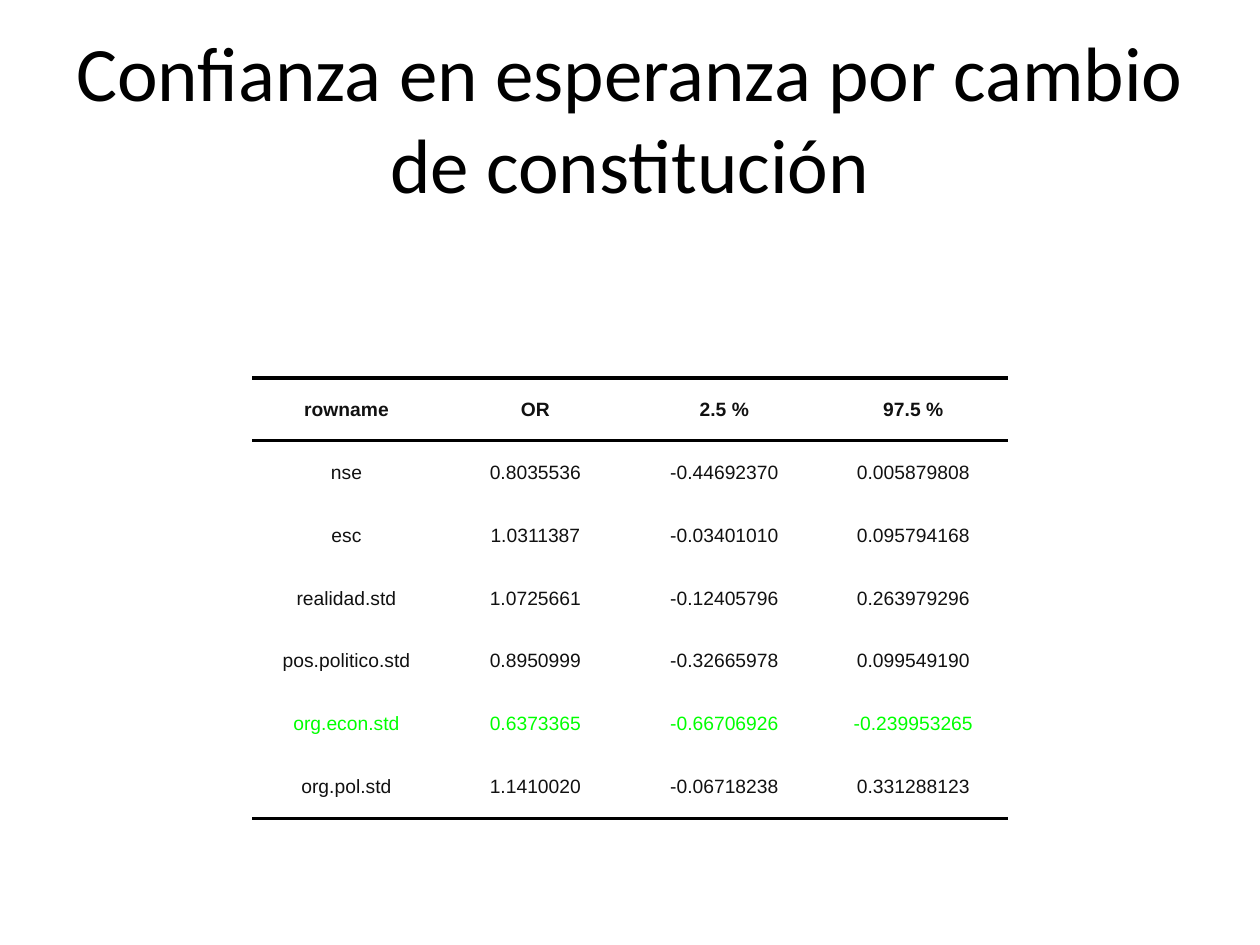
from dataclasses import dataclass

from lxml import etree
from pptx import Presentation
from pptx import util as u
from pptx.dml.color import RGBColor
from pptx.enum import text
from pptx.oxml import ns

EMU_PER_PX = u.Inches(1) // 126
PLAIN_STYLE = "{2D5ABB26-0587-4C30-8999-92F81FD0307C}"


@dataclass(frozen=True)
class Theme:
    heading_font: str = "Calibri"
    body_font: str = "Arial"
    heading_size: int = 44
    body_size: int = 11
    heading: str = "000000"
    body: str = "111111"
    accent: str = "00FF00"
    rule: str = "000000"
    rule_width: int = 2
    paragraph_gap: int = 2
    indent: int = 9


def px(length):
    return u.Emu(length * EMU_PER_PX)


class Deck:
    """Builds a slide from a theme, with one method for each kind of element."""

    def __init__(self, theme, width, height):
        self.theme = theme
        self.presentation = Presentation()
        self.presentation.slide_width = px(width)
        self.presentation.slide_height = px(height)
        self.slide = None

    def add_slide(self):
        self.slide = self.presentation.slides.add_slide(self.presentation.slide_layouts[5])

    def style(self, paragraph, font, size, color, bold=False):
        paragraph.alignment = text.PP_ALIGN.CENTER
        for run in paragraph.runs:
            run.font.name = font
            run.font.size = u.Pt(size)
            run.font.bold = bold
            run.font.color.rgb = RGBColor.from_string(color)

    def title(self, wording, left, top, width, height):
        heading = self.slide.shapes.title
        heading.left, heading.top = px(left), px(top)
        heading.width, heading.height = px(width), px(height)
        frame = heading.text_frame
        frame.text = wording
        frame.vertical_anchor = text.MSO_ANCHOR.MIDDLE
        theme = self.theme
        self.style(frame.paragraphs[0], theme.heading_font, theme.heading_size, theme.heading)

    def rule(self, cell, side):
        properties = cell._tc.get_or_add_tcPr()
        line = etree.SubElement(properties, ns.qn(f"a:ln{side}"), w=str(u.Pt(self.theme.rule_width)))
        fill = etree.SubElement(line, ns.qn("a:solidFill"))
        etree.SubElement(fill, ns.qn("a:srgbClr"), val=self.theme.rule)

    def cell(self, cell, wording, color, bold, ruled_sides):
        theme = self.theme
        cell.text_frame.text = wording
        cell.vertical_anchor = text.MSO_ANCHOR.MIDDLE
        cell.margin_left = cell.margin_right = cell.margin_top = cell.margin_bottom = 0
        for side in ruled_sides:
            self.rule(cell, side)
        cell.fill.background()
        paragraph = cell.text_frame.paragraphs[0]
        paragraph.space_before = paragraph.space_after = u.Pt(theme.paragraph_gap)
        for side in ("marL", "marR"):
            paragraph._p.get_or_add_pPr().set(side, str(px(theme.indent)))
        self.style(paragraph, theme.body_font, theme.body_size, color, bold)

    def table(self, rows, left, top, column_width, row_height, highlighted):
        columns = len(rows[0])
        frame = self.slide.shapes.add_table(
            len(rows), columns, px(left), px(top),
            px(column_width * columns), px(row_height * len(rows)))
        grid = frame.table
        grid.first_row = grid.horz_banding = False
        grid._tbl.tblPr.find(ns.qn("a:tableStyleId")).text = PLAIN_STYLE
        ruled = {0: "TB", len(rows) - 1: "B"}
        for index, row in enumerate(rows):
            color = self.theme.accent if row[0] == highlighted else self.theme.body
            for column, wording in enumerate(row):
                self.cell(grid.cell(index, column), wording, color, index == 0, ruled.get(index, ""))

    def save(self):
        self.presentation.save("out.pptx")


ODDS_RATIOS = [
    ("rowname", "OR", "2.5 %", "97.5 %"),
    ("nse", "0.8035536", "-0.44692370", "0.005879808"),
    ("esc", "1.0311387", "-0.03401010", "0.095794168"),
    ("realidad.std", "1.0725661", "-0.12405796", "0.263979296"),
    ("pos.politico.std", "0.8950999", "-0.32665978", "0.099549190"),
    ("org.econ.std", "0.6373365", "-0.66706926", "-0.239953265"),
    ("org.pol.std", "1.1410020", "-0.06718238", "0.331288123"),
]


def main():
    deck = Deck(Theme(), 1260, 945)
    deck.add_slide()
    deck.title("Confianza en esperanza por cambio de constitución", 63, 38, 1134, 157)
    deck.table(ODDS_RATIOS, 252, 378, 189, 63, highlighted="org.econ.std")
    deck.save()


if __name__ == "__main__":
    main()
